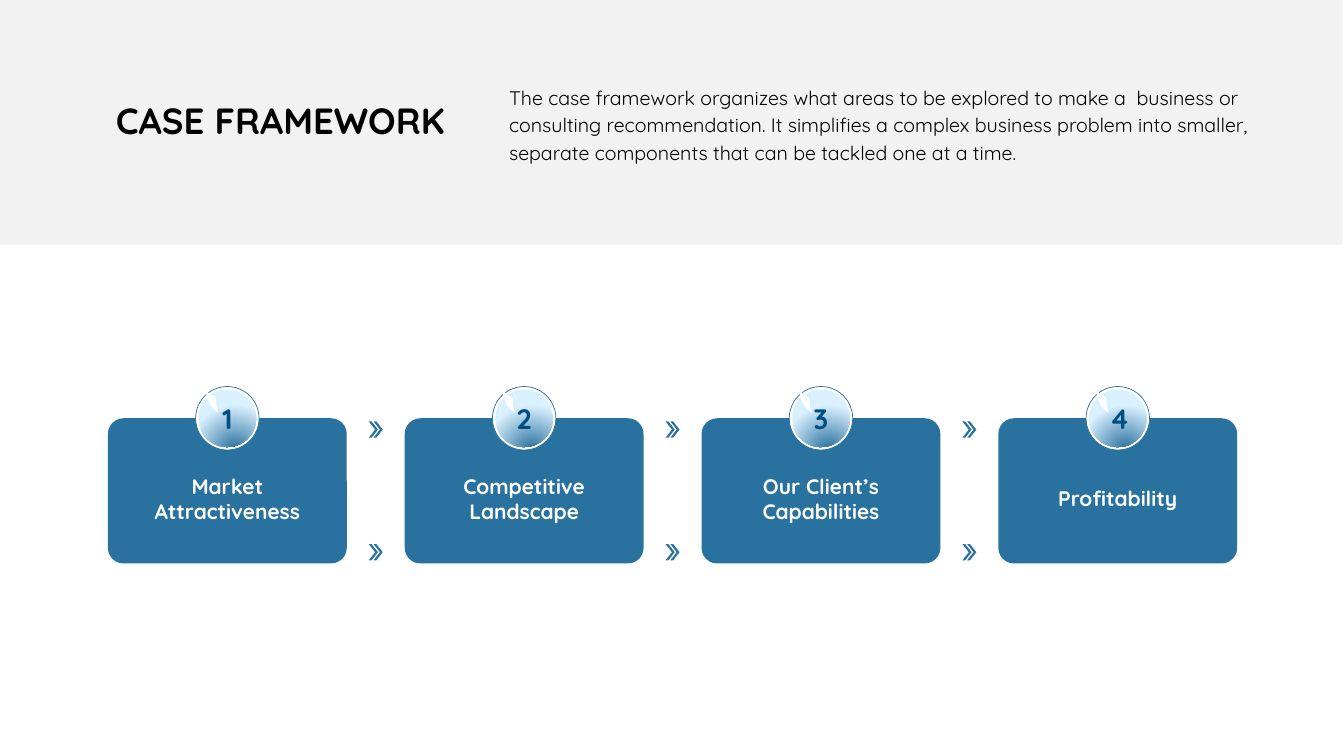
import dataclasses

import pptx
import pptx.dml.color
import pptx.enum.shapes
import pptx.enum.text
import pptx.oxml
import pptx.oxml.ns
import pptx.util

Cm = pptx.util.Cm
Pt = pptx.util.Pt
Shapes = pptx.enum.shapes.MSO_SHAPE
Align = pptx.enum.text.PP_ALIGN


@dataclasses.dataclass(frozen=True)
class Theme:
    font: str = "Quicksand"
    band: str = "F2F2F2"
    blue: str = "29719F"
    pale: str = "D9F0FF"
    number: str = "004E82"
    white: str = "FFFFFF"
    black: str = "000000"
    title_size: int = 26
    body_size: int = 14
    card_size: int = 15
    number_size: int = 20


THEME = Theme()
TITLE = "CASE FRAMEWORK"
SUMMARY = (
    "The case framework organizes what areas to be explored to make a  business or "
    "consulting recommendation. It simplifies a complex business problem into smaller, "
    "separate components that can be tackled one at a time."
)
STEPS = ["Market Attractiveness", "Competitive Landscape", "Our Client’s Capabilities", "Profitability"]

CARD_WIDTH, CARD_HEIGHT, CARD_PITCH = 6.02, 3.66, 7.48
BUBBLE, GLOSS = 1.6, 1.45
CHEVRON_WIDTH, CHEVRON_HEIGHT, CHEVRON_STEP, CHEVRON_INSET = 0.23, 0.41, 0.12, 0.08


def color(value):
    return pptx.dml.color.RGBColor.from_string(value)


def add_shape(shapes, kind, left, top, width, height, fill, adjustment=None):
    shape = shapes.add_shape(kind, Cm(left), Cm(top), Cm(width), Cm(height))
    shape.shadow.inherit = False
    shape.fill.solid()
    shape.fill.fore_color.rgb = color(fill)
    shape.line.fill.background()
    if adjustment is not None:
        shape.adjustments[0] = adjustment
    return shape


def set_text(shape, text, size, text_color, bold=True, align=Align.LEFT, wrap=True):
    """Write one middle-anchored paragraph and return it."""
    frame = shape.text_frame
    frame.word_wrap = wrap
    frame.vertical_anchor = pptx.enum.text.MSO_ANCHOR.MIDDLE
    paragraph = frame.paragraphs[0]
    paragraph.text = text
    paragraph.alignment = align
    paragraph.font.name = THEME.font
    paragraph.font.size = Pt(size)
    paragraph.font.bold = bold
    paragraph.font.color.rgb = color(text_color)
    return paragraph


def add_header(slide, left, top, width, height):
    add_shape(slide.shapes, Shapes.RECTANGLE, left, top, width, height, THEME.band)

    title = slide.shapes.add_textbox(Cm(left + 2.67), Cm(top + 2.36), Cm(10.54), Cm(1.47))
    set_text(title, TITLE, THEME.title_size, THEME.black).line_spacing = 0.9

    summary = slide.shapes.add_textbox(Cm(left + 12.42), Cm(top + 1.14), Cm(19.48), Cm(3.91))
    frame = summary.text_frame
    frame.margin_left = frame.margin_right = frame.margin_top = frame.margin_bottom = Cm(0.41)
    paragraph = set_text(summary, SUMMARY, THEME.body_size, THEME.black, bold=False)
    paragraph.line_spacing = Pt(19.8)
    paragraph.space_after = Pt(10)


def curve(start, control_1, control_2, end, steps=8):
    """Points along a cubic curve, both ends included."""
    points = []
    for index in range(steps + 1):
        t = index / steps
        weights = ((1 - t) ** 3, 3 * t * (1 - t) ** 2, 3 * t**2 * (1 - t), t**3)
        corners = (start, control_1, control_2, end)
        points.append(tuple(sum(w * c[axis] for w, c in zip(weights, corners)) for axis in (0, 1)))
    return points


def add_highlight(shapes, center_x, center_y):
    outline = [(-0.25, 0.2)]
    outline += curve((-0.23, 0.15), (-0.15, -0.03), (0, -0.15), (0.2, -0.2))
    outline += curve((0.23, -0.2), (0.18, -0.13), (0.13, -0.05), (0.13, 0.03))
    outline += curve((0.08, 0.08), (-0.03, 0.1), (-0.15, 0.13), (-0.23, 0.2))
    points = [(Cm(center_x + x), Cm(center_y + y)) for x, y in outline]
    builder = shapes.build_freeform(*points[0])
    builder.add_line_segments(points[1:], close=True)
    highlight = builder.convert_to_shape()
    highlight.shadow.inherit = False
    highlight.fill.solid()
    highlight.fill.fore_color.rgb = color(THEME.white)
    highlight.line.fill.background()
    highlight.rotation = 281.5


def set_glossy_fill(shape):
    shape.fill.gradient()
    for stop, value in zip(shape.fill.gradient_stops, (THEME.blue, THEME.pale)):
        stop.color.rgb = color(value)
    gradient = shape._element.spPr.find(pptx.oxml.ns.qn("a:gradFill"))
    gradient.replace(
        gradient.find(pptx.oxml.ns.qn("a:lin")),
        pptx.oxml.parse_xml(
            f'<a:path {pptx.oxml.ns.nsdecls("a")} path="circle">'
            '<a:fillToRect l="62000" t="120000" r="38000" b="-20000"/></a:path>'
        ),
    )


def add_bubble(slide, number, center_x, center_y):
    shapes = slide.shapes.add_group_shape().shapes

    def centered(width, height):
        return center_x - width / 2, center_y - height / 2, width, height

    ring = add_shape(shapes, Shapes.OVAL, *centered(BUBBLE, BUBBLE), THEME.white)
    ring.line.color.rgb = color(THEME.blue)
    ring.line.width = Pt(0.5)
    gloss = add_shape(shapes, Shapes.OVAL, *centered(GLOSS, GLOSS), THEME.blue)
    gloss.rotation = 354.2
    set_glossy_fill(gloss)
    add_highlight(shapes, center_x - 0.37, center_y - 0.42)
    label = shapes.add_textbox(*map(Cm, centered(0.91, 1.12)))
    set_text(label, str(number), THEME.number_size, THEME.number, align=Align.CENTER, wrap=False)


def add_card(slide, text, left, top, width, height):
    card = add_shape(slide.shapes, Shapes.ROUNDED_RECTANGLE, left, top, width, height, THEME.blue, 0.108)
    card.text_frame.margin_top = Cm(0.51)
    paragraph = set_text(card, text, THEME.card_size, THEME.white, align=Align.CENTER)
    paragraph.space_after = Pt(10)


def add_chevrons(slide, left, top, width, height):
    """Place a double chevron near the top and the bottom of a gap between cards."""
    shapes = slide.shapes.add_group_shape().shapes
    first = left + (width - CHEVRON_WIDTH - CHEVRON_STEP) / 2
    for y in (top + CHEVRON_INSET, top + height - CHEVRON_INSET - CHEVRON_HEIGHT):
        for x in (first, first + CHEVRON_STEP):
            add_shape(shapes, Shapes.CHEVRON, x, y, CHEVRON_WIDTH, CHEVRON_HEIGHT, THEME.blue, 0.698)


def add_steps(slide, left, top):
    for index, text in enumerate(STEPS):
        x = left + index * CARD_PITCH
        add_card(slide, text, x, top, CARD_WIDTH, CARD_HEIGHT)
        add_bubble(slide, index + 1, x + CARD_WIDTH / 2, top)
        if index < len(STEPS) - 1:
            add_chevrons(slide, x + CARD_WIDTH, top, CARD_PITCH - CARD_WIDTH, CARD_HEIGHT)


def main():
    presentation = pptx.Presentation()
    presentation.slide_width = Cm(33.87)
    presentation.slide_height = Cm(19.05)
    slide = presentation.slides.add_slide(presentation.slide_layouts[6])
    add_header(slide, 0, 0, 33.83, 6.17)
    add_steps(slide, 2.72, 10.54)
    presentation.save("out.pptx")


if __name__ == "__main__":
    main()
